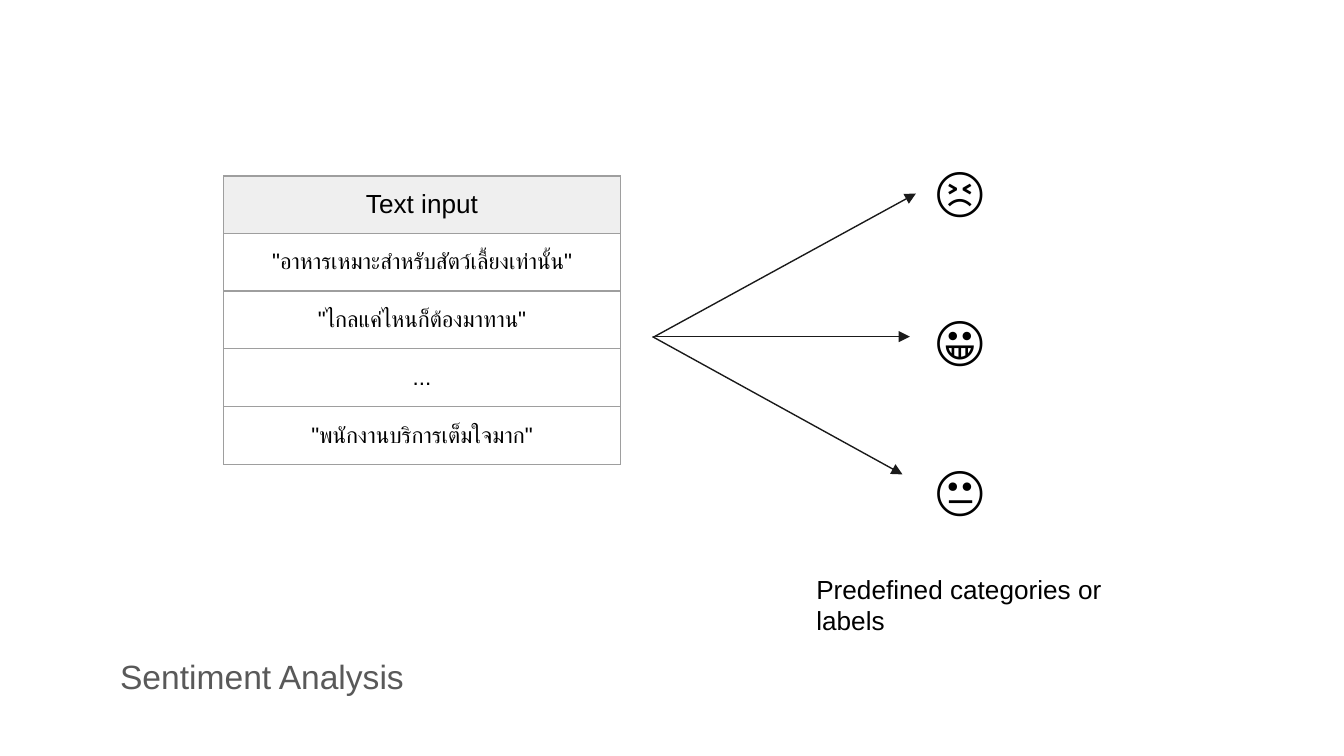
"""Build the Sentiment Analysis slide: text inputs mapped to three emoji labels."""
from typing import NamedTuple

from lxml.etree import SubElement
from pptx import Presentation
from pptx.dml.color import RGBColor
from pptx.enum.shapes import MSO_CONNECTOR as CONN
from pptx.enum.text import MSO_ANCHOR as ANCHOR, PP_ALIGN as ALIGN
from pptx.oxml import parse_xml
from pptx.oxml.ns import nsdecls, qn
from pptx.util import Pt

PX = 4572
INSET = 20
FONT = "Arial"
COLORS = {
    "ink": "000000",
    "title": "595959",
    "arrow": "1A1A1A",
    "border": "9E9E9E",
    "header": "EFEFEF",
}


class Label(NamedTuple):
    text: str
    left: int
    top: int
    width: int
    height: int
    size: int
    color: str = "ink"
    anchor: ANCHOR = ANCHOR.TOP


class Arrow(NamedTuple):
    x1: int
    y1: int
    x2: int
    y2: int


class Row(NamedTuple):
    text: str
    height: int = 86
    size: int = 12
    fill: str = ""


ROWS = [
    Row("Text input", 85, 14, "header"),
    Row('"อาหารเหมาะสำหรับสัตว์เลี้ยงเท่านั้น"'),
    Row('"ไกลแค่ไหนก็ต้องมาทาน"'),
    Row("..."),
    Row('"พนักงานบริการเต็มใจมาก"'),
]
ARROWS = [
    Arrow(972, 502, 1363, 288),
    Arrow(976, 501, 1354, 501),
    Arrow(971, 501, 1343, 706),
]
LABELS = [
    Label("Sentiment Analysis", 159, 956, 1684, 100, 18, "title", ANCHOR.MIDDLE),
    *(Label(face, 1372, 213 + 222 * i, 202, 138, 29) for i, face in enumerate("😣😀😐")),
    Label("Predefined categories or labels", 1195, 833, 558, 88, 14),
]


def rgb(name: str) -> RGBColor:
    """Return the named colour."""
    return RGBColor.from_string(COLORS[name])


def write(tf, text: str, *, size: int, color: str = "ink", align=ALIGN.LEFT) -> None:
    """Write one formatted paragraph into a text frame."""
    p = tf.paragraphs[0]
    p.alignment = align
    r = p.add_run()
    r.text = text
    r.font.name = FONT
    r.font.size = Pt(size)
    r.font.color.rgb = rgb(color)


def set_margins(holder) -> None:
    """Give a text frame or cell equal margins on all sides."""
    holder.margin_left = holder.margin_right = INSET * PX
    holder.margin_top = holder.margin_bottom = INSET * PX


def add_label(s, label: Label) -> None:
    """Add a wrapped text box."""
    sp = s.shapes.add_textbox(
        label.left * PX, label.top * PX, label.width * PX, label.height * PX
    )
    tf = sp.text_frame
    tf.word_wrap = True
    tf.vertical_anchor = label.anchor
    set_margins(tf)
    write(tf, label.text, size=label.size, color=label.color)


def add_arrow(s, arrow: Arrow) -> None:
    """Add a straight connector with a triangular head."""
    sp = s.shapes.add_connector(CONN.STRAIGHT, *(v * PX for v in arrow))
    sp.line.color.rgb = rgb("arrow")
    sp.line.width = Pt(0.75)
    SubElement(sp.line._get_or_add_ln(), qn("a:tailEnd"), type="triangle")
    SubElement(sp._element.spPr, qn("a:effectLst"))


def set_borders(cell) -> None:
    """Outline all four sides of a cell."""
    tc_pr = cell._tc.get_or_add_tcPr()
    for i, side in enumerate("LRTB"):
        tc_pr.insert(i, parse_xml(
            f'<a:ln{side} {nsdecls("a")} w="{Pt(0.75)}"><a:solidFill>'
            f'<a:srgbClr val="{COLORS["border"]}"/></a:solidFill></a:ln{side}>'
        ))


def add_inputs(s, rows: list[Row], left: int, top: int, width: int) -> None:
    """Add the one-column table of text inputs."""
    height = sum(row.height for row in rows)
    table = s.shapes.add_table(
        len(rows), 1, left * PX, top * PX, width * PX, height * PX
    ).table
    table.first_row = table.horz_banding = False
    for i, row in enumerate(rows):
        table.rows[i].height = row.height * PX
        cell = table.cell(i, 0)
        cell.vertical_anchor = ANCHOR.MIDDLE
        set_margins(cell)
        if row.fill:
            cell.fill.solid()
            cell.fill.fore_color.rgb = rgb(row.fill)
        else:
            cell.fill.background()
        set_borders(cell)
        write(cell.text_frame, row.text, size=row.size, align=ALIGN.CENTER)


def main() -> None:
    """Build and save the slide."""
    prs = Presentation()
    prs.slide_width, prs.slide_height = 2000 * PX, 1125 * PX
    s = prs.slides.add_slide(prs.slide_layouts[6])
    add_inputs(s, ROWS, 333, 262, 590)
    for arrow in ARROWS:
        add_arrow(s, arrow)
    for label in LABELS:
        add_label(s, label)
    prs.save("out.pptx")


if __name__ == "__main__":
    main()
